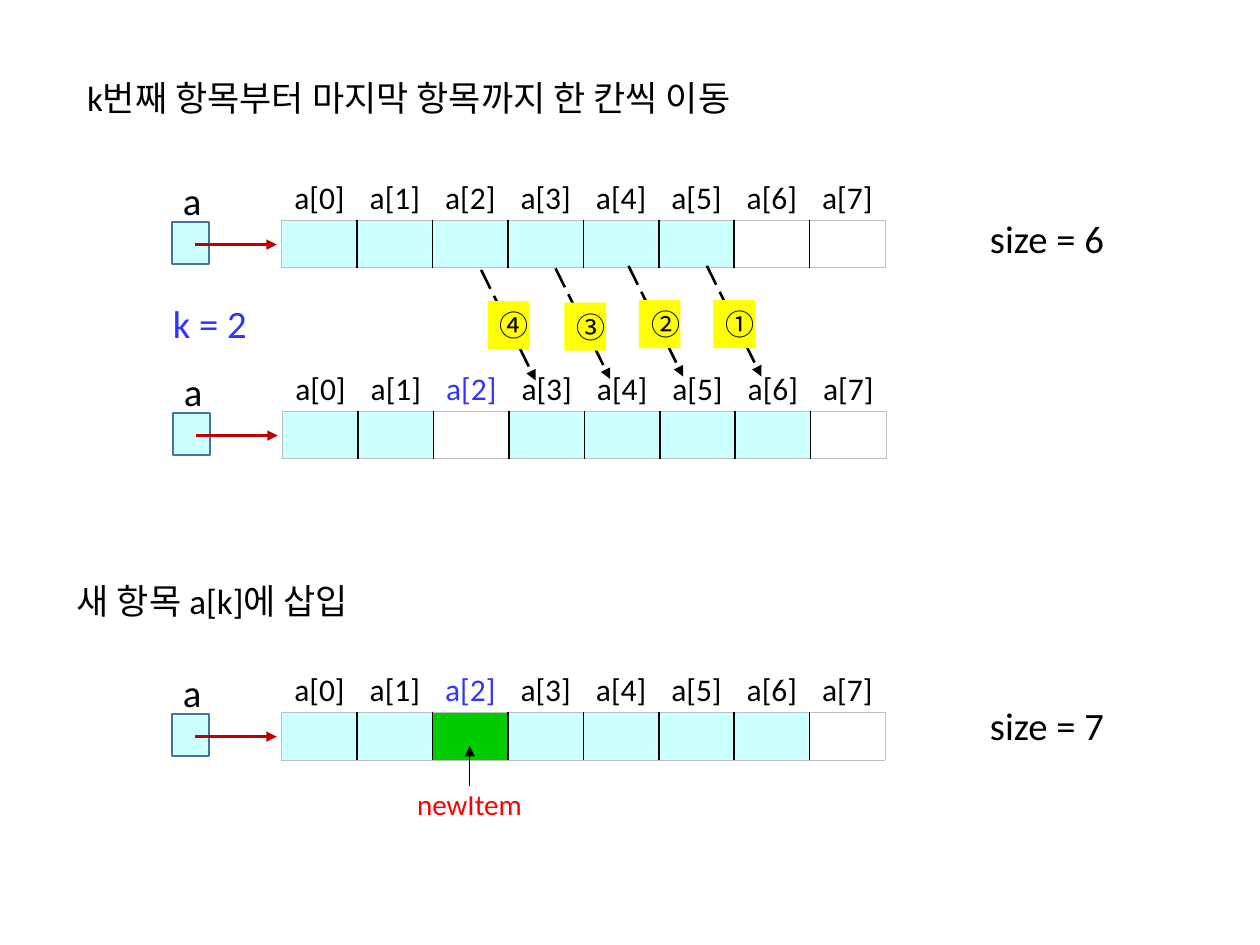
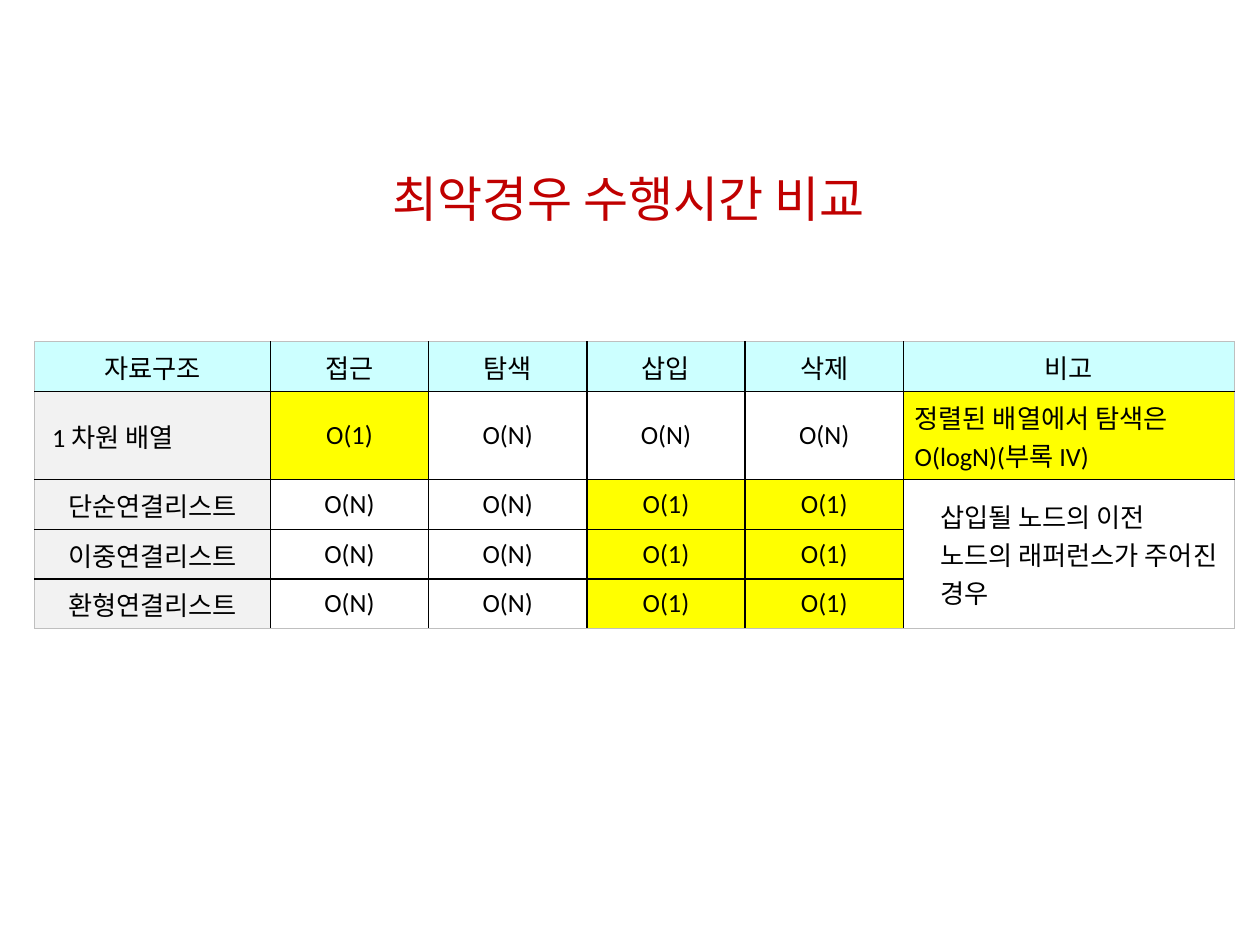
from lxml import etree
from pptx import Presentation
from pptx.dml.color import RGBColor
from pptx.enum.dml import MSO_LINE
from pptx.enum.shapes import MSO_CONNECTOR, MSO_SHAPE
from pptx.enum.text import MSO_ANCHOR, MSO_AUTO_SIZE, PP_ALIGN
from pptx.oxml.ns import qn
from pptx.util import Cm, Pt

LATIN, KOREAN = "Calibri", "Noto Sans CJK KR"
BLACK = RGBColor(0x00, 0x00, 0x00)
CYAN = RGBColor(0xCC, 0xFF, 0xFF)
GREEN = RGBColor(0x00, 0xCC, 0x00)
YELLOW = RGBColor(0xFF, 0xFF, 0x00)
PALE_GRAY = RGBColor(0xF2, 0xF2, 0xF2)
EDGE_GRAY = RGBColor(0xBF, 0xBF, 0xBF)
BLUE = RGBColor(0x33, 0x33, 0xFF)
STEEL = RGBColor(0x43, 0x73, 0x9E)
RED = RGBColor(0xFF, 0x00, 0x00)
DARK_RED = RGBColor(0xC0, 0x00, 0x00)

LEFT, CENTER, JUSTIFY = PP_ALIGN.LEFT, PP_ALIGN.CENTER, PP_ALIGN.JUSTIFY
TOP, MIDDLE = MSO_ANCHOR.TOP, MSO_ANCHOR.MIDDLE
FIT_SHAPE = MSO_AUTO_SIZE.SHAPE_TO_FIT_TEXT
RECTANGLE, STRAIGHT = MSO_SHAPE.RECTANGLE, MSO_CONNECTOR.STRAIGHT
LONG_DASH = MSO_LINE.LONG_DASH

TITLE_ONLY = 5
CELL_COUNT, CELL_WIDTH = 8, 1.52


# Text
def write(frame, text, size, color=BLACK, align=CENTER, font=LATIN):
    frame.text = text
    paragraph = frame.paragraphs[0]
    paragraph.alignment = align
    for run in paragraph.runs:
        run.font.size = Pt(size)
        run.font.bold = False
        run.font.color.rgb = color
        run.font.name = font
        etree.SubElement(run.font._element, qn("a:ea"), typeface=KOREAN)
    return paragraph


def fit_frame(shape, anchor):
    frame = shape.text_frame
    frame.word_wrap = True
    frame.auto_size = FIT_SHAPE
    frame.vertical_anchor = anchor
    return frame


def place(shape, left, top, width, height):
    shape.left, shape.top = Cm(left), Cm(top)
    shape.width, shape.height = Cm(width), Cm(height)


def add_label(slide, text, box, size=22.1, color=BLACK):
    label = slide.shapes.add_textbox(*map(Cm, box))
    write(fit_frame(label, MIDDLE), text, size, color)


def write_heading(shape, text):
    write(fit_frame(shape, TOP), text, 20, align=JUSTIFY).line_spacing = 1.07


# Shapes and arrows
def add_box(slide, box, fill, line=None):
    rectangle = slide.shapes.add_shape(RECTANGLE, *map(Cm, box))
    rectangle.shadow.inherit = False
    rectangle.fill.solid()
    rectangle.fill.fore_color.rgb = fill
    if line is None:
        rectangle.line.fill.background()
    else:
        rectangle.line.color.rgb = line
        rectangle.line.width = Pt(1)
    return rectangle


def add_arrow(slide, start, end, color=BLACK, width=1.5, dash=None):
    arrow = slide.shapes.add_connector(STRAIGHT, *map(Cm, (*start, *end)))
    arrow.line.color.rgb = color
    arrow.line.width = Pt(width)
    if dash is not None:
        arrow.line.dash_style = dash
    properties = arrow._element.spPr
    etree.SubElement(properties.find(qn("a:ln")), qn("a:tailEnd"), type="triangle")
    etree.SubElement(properties, qn("a:effectLst"))


# Tables
def add_grid(slide, left, top, widths, heights):
    frame = slide.shapes.add_table(len(heights), len(widths), Cm(left), Cm(top),
                                   Cm(sum(widths)), Cm(sum(heights)))
    table = frame.table
    table.first_row = table.horz_banding = False
    for column, width in zip(table.columns, widths):
        column.width = Cm(width)
    for row, height in zip(table.rows, heights):
        row.height = Cm(height)
    return table


def set_margins(cell, side=0.23, end=0.13):
    cell.margin_left = cell.margin_right = Cm(side)
    cell.margin_top = cell.margin_bottom = Cm(end)
    cell.vertical_anchor = MIDDLE


def fill_cell(cell, color):
    if color is None:
        cell.fill.background()
    else:
        cell.fill.solid()
        cell.fill.fore_color.rgb = color


def set_borders(table, visible=True):
    rows, columns = len(table.rows), len(table.columns)
    for r in range(rows):
        for c in range(columns):
            cell = table.cell(r, c)
            outer = {"a:lnL": c == 0, "a:lnR": c == columns - 1,
                     "a:lnT": r == 0, "a:lnB": r + cell.span_height == rows}
            properties = cell._tc.get_or_add_tcPr()
            for position, (side, is_outer) in enumerate(outer.items()):
                width = Pt(0.5 if is_outer else 1)
                line = properties.makeelement(qn(side), {"w": str(width)})
                properties.insert(position, line)
                if visible:
                    paint = etree.SubElement(line, qn("a:solidFill"))
                    color = EDGE_GRAY if is_outer else BLACK
                    etree.SubElement(paint, qn("a:srgbClr"), val=str(color))
                else:
                    etree.SubElement(line, qn("a:noFill"))


# An array: reference box, arrow, index labels and cells
def add_array(slide, left, top, filled, target=None, target_fill=None):
    widths = [CELL_WIDTH] * CELL_COUNT
    cells = add_grid(slide, left, top, widths, [0.95])
    indexes = add_grid(slide, left, top - 0.96, widths, [1.02])
    for i in range(CELL_COUNT):
        cell, index = cells.cell(0, i), indexes.cell(0, i)
        set_margins(cell, end=0)
        color = CYAN if i < filled else None
        fill_cell(cell, target_fill if i == target else color)
        set_margins(index)
        fill_cell(index, None)
        write(index.text_frame, f"a[{i}]", 18, BLUE if i == target else BLACK)
    set_borders(cells)
    set_borders(indexes, visible=False)
    add_box(slide, (left - 2.21, top + 0.03, 0.74, 0.84), CYAN, STEEL)
    add_arrow(slide, (left - 1.75, top + 0.48), (left - 0.1, top + 0.48), DARK_RED)
    add_label(slide, "a", (left - 2.4, top - 1.02, 1.19, 1.19))


def build_insertion_slide(slide):
    # Step headings
    place(slide.shapes.title, 1.5, 1.35, 15.95, 1.17)
    write_heading(slide.shapes.title, "k번째 항목부터 마지막 항목까지 한 칸씩 이동")
    insert_heading = slide.shapes.add_textbox(Cm(1.3), Cm(11.5), Cm(9.88), Cm(1.17))
    write_heading(insert_heading, "새 항목 a[k]에 삽입")

    # Before the move, after the move, after the insertion
    add_array(slide, 5.68, 4.45, filled=6)
    add_array(slide, 5.7, 8.3, filled=7, target=2)
    add_array(slide, 5.68, 14.37, filled=7, target=2, target_fill=GREEN)
    add_label(slide, "size = 6", (19.35, 4.2, 3.51, 1.19))
    add_label(slide, "size = 7", (19.35, 14.02, 3.51, 1.19))
    add_label(slide, "k = 2", (3.05, 5.92, 2.36, 1.19), color=BLUE)

    # Moves in order: arrow start, then top left of the number
    moves = {
        "①": ((14.25, 5.36), (14.38, 6.05)),
        "②": ((12.67, 5.36), (12.88, 6.05)),
        "③": ((11.2, 5.41), (11.38, 6.1)),
        "④": ((9.7, 5.44), (9.83, 6.07)),
    }
    for (x, y), _ in moves.values():
        add_arrow(slide, (x, y), (x + 1.1, y + 2.23), dash=LONG_DASH)
    for number, (_, corner) in moves.items():
        badge = add_box(slide, (*corner, 0.84, 0.97), YELLOW)
        write(fit_frame(badge, MIDDLE), number, 16.6, font=KOREAN)

    # New item
    add_arrow(slide, (9.47, 15.85), (9.47, 15.04), width=0.5)
    add_label(slide, "newItem", (8.13, 15.72, 2.67, 0.97), 16.6, RED)


def build_comparison_slide(slide):
    place(slide.shapes.title, 6.54, 3.26, 12.27, 1.45)
    write(fit_frame(slide.shapes.title, TOP), "최악경우 수행시간 비교", 28, DARK_RED)

    list_costs = ["O(N)", "O(N)", "O(1)", "O(1)"]
    costs = [
        ["자료구조", "접근", "탐색", "삽입", "삭제", "비고"],
        ["1 차원 배열", "O(1)", "O(N)", "O(N)", "O(N)",
         "정렬된 배열에서 탐색은 O(logN)(부록 IV)"],
        ["단순연결리스트", *list_costs, "삽입될 노드의 이전 노드의 래퍼런스가 주어진 경우"],
        ["이중연결리스트", *list_costs],
        ["환형연결리스트", *list_costs],
    ]
    # The second row holds two lines of text
    table = add_grid(slide, 0.7, 6.89, [4.75, 3.19, 3.19, 3.19, 3.19, 6.67],
                     [1, 1.78, 1, 1, 1])
    reference_note = table.cell(2, 5)
    reference_note.merge(table.cell(4, 5))
    left_aligned = {(1, 0): 0.35, (1, 5): 0.23, (2, 5): 0.74}
    for r, row in enumerate(costs):
        for c, text in enumerate(row):
            cell = table.cell(r, c)
            set_margins(cell)
            align = CENTER
            if (r, c) in left_aligned:
                align = LEFT
                cell.margin_left = Cm(left_aligned[r, c])
            write(cell.text_frame, text, 15, align=align)
            if r == 0:
                color = CYAN
            elif c == 0:
                color = PALE_GRAY
            else:
                color = YELLOW if text == "O(1)" or (r, c) == (1, 5) else None
            fill_cell(cell, color)
    reference_note.margin_right = Cm(0.29)
    set_borders(table)


def main():
    deck = Presentation()
    deck.slide_width, deck.slide_height = Cm(25.4), Cm(19.05)
    for build in (build_insertion_slide, build_comparison_slide):
        build(deck.slides.add_slide(deck.slide_layouts[TITLE_ONLY]))
    deck.save("out.pptx")


if __name__ == "__main__":
    main()
